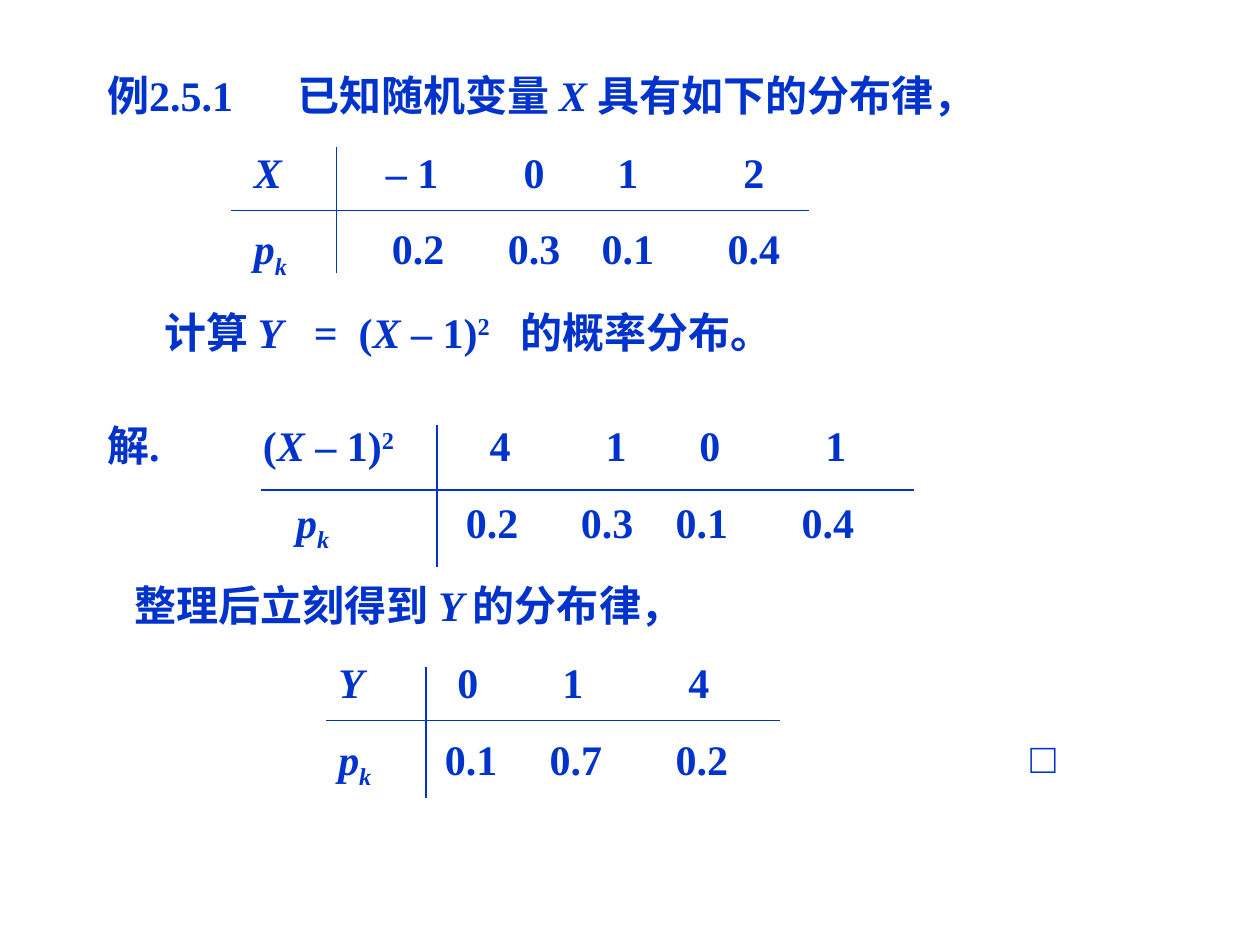
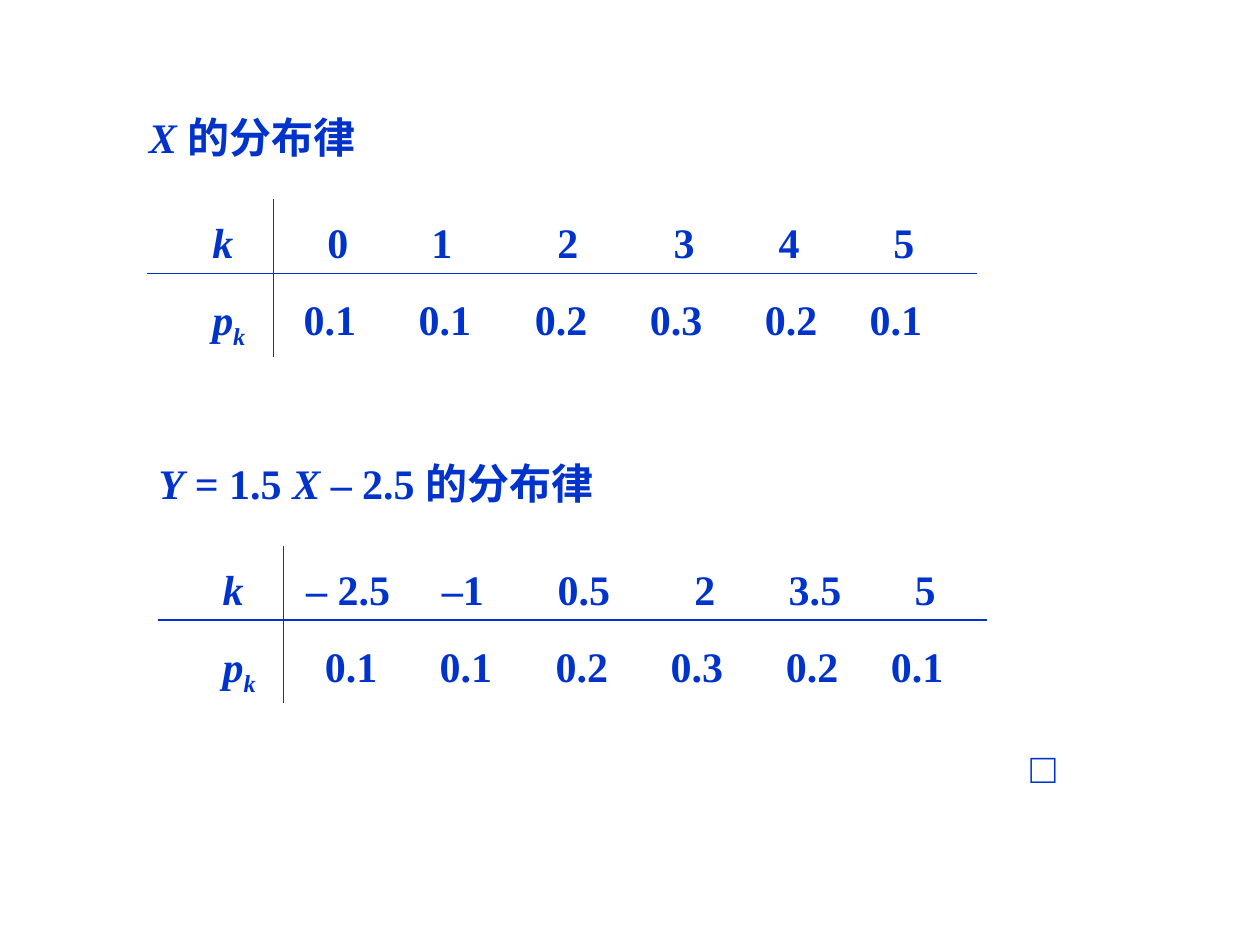
from dataclasses import dataclass

from lxml import etree
from pptx import Presentation
from pptx import util as u
from pptx.dml.color import RGBColor
from pptx.enum import shapes, text
from pptx.oxml import ns

BLUE = "0033CC"
LATIN = "Times New Roman"
CJK = "Noto Sans CJK SC"
SIZE = 24
GAP = 15
INSET_X, INSET_Y = 0.25, 0.13


@dataclass
class Line:
    text: str
    lefts: tuple[float, ...] = ()
    centers: tuple[float, ...] = ()


@dataclass
class Box:
    left: float
    top: float
    width: float
    height: float
    lines: list[Line]
    is_title: bool = False
    bold: bool = True


@dataclass
class Cross:
    left: float
    right: float
    rule_y: float
    bar_x: float
    top: float
    bottom: float


def rgb(color: str) -> RGBColor:
    return RGBColor.from_string(color)


def add_run(p, value: str, *, bold: bool = True, italic: bool = False, baseline: int = 0) -> None:
    r = p.add_run()
    r.text = value
    f = r.font
    f.name, f.size, f.bold, f.italic = LATIN, u.Pt(SIZE), bold, italic
    f.color.rgb = rgb(BLUE)
    rpr = r._r.get_or_add_rPr()
    if baseline:
        rpr.set("baseline", str(baseline * 1000))
    ea = etree.Element(ns.qn("a:ea"), typeface=CJK)
    rpr.find(ns.qn("a:latin")).addnext(ea)


def add_marked(p, marked: str, bold: bool) -> None:
    styles = {
        "*": dict(italic=True),
        "_": dict(italic=True, baseline=-25),
        "^": dict(baseline=30),
    }
    for piece in marked.split("|"):
        style = styles.get(piece[0])
        add_run(p, piece[1:] if style else piece, bold=bold, **(style or {}))


def set_tabs(p, line: Line, origin: float) -> None:
    stops = [(x, "l") for x in line.lefts] + [(x, "ctr") for x in line.centers]
    if not stops:
        return
    tabs = etree.SubElement(p._p.get_or_add_pPr(), ns.qn("a:tabLst"))
    for x, align in stops:
        etree.SubElement(tabs, ns.qn("a:tab"), pos=str(int(u.Cm(x - origin))), algn=align)


def draw_box(s, box: Box) -> None:
    place = [u.Cm(v) for v in (box.left, box.top, box.width, box.height)]
    if box.is_title:
        sp = s.shapes.title
        sp.left, sp.top, sp.width, sp.height = place
    else:
        sp = s.shapes.add_textbox(*place)
    tf = sp.text_frame
    tf.word_wrap = True
    tf.auto_size = text.MSO_AUTO_SIZE.SHAPE_TO_FIT_TEXT
    tf.vertical_anchor = text.MSO_ANCHOR.TOP
    tf.margin_left = tf.margin_right = u.Cm(INSET_X)
    tf.margin_top = tf.margin_bottom = u.Cm(INSET_Y)
    for i, line in enumerate(box.lines):
        p = tf.add_paragraph() if i else tf.paragraphs[0]
        p.alignment = text.PP_ALIGN.LEFT
        p.space_before = u.Pt(GAP)
        set_tabs(p, line, box.left + INSET_X)
        add_marked(p, line.text, box.bold)


def draw_line(s, x1: float, y1: float, x2: float, y2: float) -> None:
    c = s.shapes.add_connector(shapes.MSO_CONNECTOR.STRAIGHT, *[u.Cm(v) for v in (x1, y1, x2, y2)])
    c.line.color.rgb = rgb(BLUE)
    c.line.width = u.Pt(0.75)
    etree.SubElement(c._element.spPr, ns.qn("a:effectLst"))


def draw_cross(s, c: Cross) -> None:
    draw_line(s, c.left, c.rule_y, c.right, c.rule_y)
    draw_line(s, c.bar_x, c.top, c.bar_x, c.bottom)


def row(label: str, label_x: float, values: str, centers: tuple[float, ...]) -> Line:
    cells = "".join("\t" + v.strip() for v in values.split(","))
    return Line(f"\t|{label}|{cells}", (label_x,), centers)


def end_mark(top: float) -> Box:
    return Box(20.52, top, 1.27, 1.27, [Line("□")], bold=False)


def add_slide(prs, boxes: list[Box], crosses: list[Cross]) -> None:
    s = prs.slides.add_slide(prs.slide_layouts[5])
    for box in boxes:
        draw_box(s, box)
    for cross in crosses:
        draw_cross(s, cross)


PK = "*p|_k"
SQUARE = "(|*X| – 1)|^2"

EXAMPLE = [
    Box(1.91, 1.27, 18.8, 1.27,
        [Line("例2.5.1\t已知随机变量 |*X |具有如下的分布律，", (6.0,))], is_title=True),
    Box(1.91, 2.82, 18.8, 4.5, [
        row("*X", 5.12, "– 1, 0, 1, 2", (8.31, 10.77, 12.66, 15.2)),
        row(PK, 5.12, "0.2, 0.3, 0.1, 0.4", (8.43, 10.77, 12.66, 15.2)),
        Line(f"\t计算 |*Y|\t=\t{SQUARE}|\t的概率分布。", (3.31, 6.33, 7.23, 10.5)),
    ]),
    Box(1.91, 8.33, 17.4, 7.75, [
        Line(f"解.\t{SQUARE}|\t4\t1\t0\t1", (5.3,), (10.08, 12.42, 14.31, 16.85)),
        row(PK, 5.97, "0.2, 0.3, 0.1, 0.4", (9.92, 12.24, 14.15, 16.69)),
        Line("\t整理后立刻得到 |*Y |的分布律，", (2.72,)),
        row("*Y", 6.82, "0, 1, 4", (9.43, 11.55, 14.09)),
        row(PK, 6.82, "0.1, 0.7, 0.2", (9.5, 11.61, 14.15)),
    ]),
    end_mark(14.61),
]
EXAMPLE_CROSSES = [
    Cross(4.65, 16.31, 4.24, 6.78, 2.97, 5.51),
    Cross(5.26, 18.42, 9.88, 8.81, 8.56, 11.43),
    Cross(6.58, 15.72, 14.53, 8.59, 13.44, 16.08),
]

PROBS = "0.1, 0.1, 0.2, 0.3, 0.2, 0.1"
LINEAR = [
    Box(2.75, 2.11, 5.92, 1.27, [Line("*X |的分布律")], is_title=True),
    Box(3.81, 4.24, 16.51, 2.97, [
        row("*k", 4.28, "0, 1, 2, 3, 4, 5", (6.81, 8.91, 11.45, 13.79, 15.91, 18.22)),
        row(PK, 4.28, PROBS, (6.65, 8.97, 11.31, 13.63, 15.95, 18.06)),
    ]),
    Box(2.95, 9.09, 12.27, 1.27, [Line("*Y| = 1.5 |*X| – 2.5 的分布律")]),
    Box(4.01, 11.23, 16.51, 2.97, [
        row("*k", 4.49, "– 2.5, –1, 0.5, 2, 3.5, 5", (7.02, 9.33, 11.77, 14.21, 16.43, 18.65)),
        row(PK, 4.49, PROBS, (7.08, 9.39, 11.73, 14.05, 16.37, 18.49)),
    ]),
    end_mark(14.81),
]
LINEAR_CROSSES = [
    Cross(2.97, 19.69, 5.51, 5.51, 4.01, 7.19),
    Cross(3.18, 19.89, 12.5, 5.72, 11.0, 14.17),
]


def main() -> None:
    prs = Presentation()
    prs.slide_width, prs.slide_height = u.Cm(25.4), u.Cm(19.05)
    add_slide(prs, EXAMPLE, EXAMPLE_CROSSES)
    add_slide(prs, LINEAR, LINEAR_CROSSES)
    prs.save("out.pptx")


if __name__ == "__main__":
    main()
